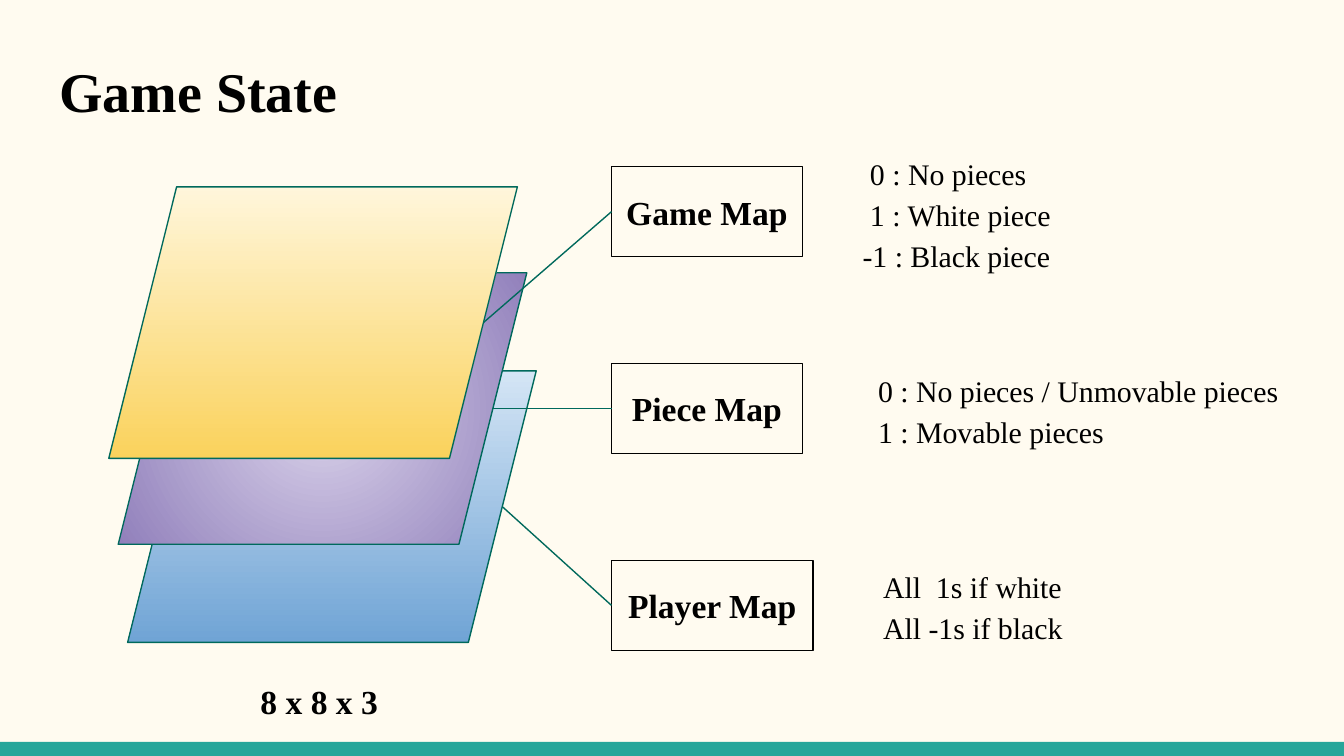
from lxml import etree
from pptx import Presentation
from pptx.dml.color import RGBColor
from pptx.enum.shapes import MSO_CONNECTOR, MSO_SHAPE
from pptx.enum.text import MSO_ANCHOR, PP_ALIGN
from pptx.oxml import parse_xml
from pptx.oxml.ns import nsdecls, qn
from pptx.util import Inches, Pt

RECTANGLE, PARALLELOGRAM = MSO_SHAPE.RECTANGLE, MSO_SHAPE.PARALLELOGRAM
STRAIGHT = MSO_CONNECTOR.STRAIGHT
TOP, MIDDLE = MSO_ANCHOR.TOP, MSO_ANCHOR.MIDDLE
LEFT, CENTER = PP_ALIGN.LEFT, PP_ALIGN.CENTER
color = RGBColor.from_string
GREEN, BLACK = color("00695C"), color("000000")

deck = Presentation()
deck.slide_width, deck.slide_height = Inches(10), Inches(5.625)
page = deck.slides.add_slide(deck.slide_layouts[5])
page.background.fill.solid()
page.background.fill.fore_color.rgb = color("FFFBF0")


def write(box, lines, size, bold=False, align=LEFT, anchor=TOP, spacing=1.0):
    frame = box.text_frame
    frame.word_wrap = True
    frame.vertical_anchor = anchor
    frame.margin_left = frame.margin_right = Inches(0.1)
    frame.margin_top = frame.margin_bottom = Inches(0.1)
    frame.text = "\n".join(lines)
    for para in frame.paragraphs:
        para.alignment, para.line_spacing = align, spacing
        for span in para.runs:
            span.font.name, span.font.size = "Times New Roman", Pt(size)
            span.font.bold, span.font.color.rgb = bold, BLACK


def add_box(preset, left, top, width, height, line_color):
    box = page.shapes.add_shape(
        preset, Inches(left), Inches(top), Inches(width), Inches(height))
    box.shadow.inherit = False
    box.line.color.rgb, box.line.width = line_color, Pt(0.75)
    return box


footer = add_box(RECTANGLE, 0, 5.52, 10, 0.11, GREEN)
footer.fill.solid()
footer.fill.fore_color.rgb = color("26A69A")
footer.line.fill.background()

title = page.shapes.title
title.left, title.top = Inches(0.34), Inches(0.32)
title.width, title.height = Inches(9.32), Inches(0.67)
write(title, ["Game State"], 30, bold=True)

# Stacked layers, back to front
layer_width, layer_height, slant = 3.04, 2.02, 0.25
layers = [
    (0.95, 2.76, "D4E5F5", "70A4D5", False),
    (0.88, 2.03, "DBD4EB", "9180BB", True),
    (0.81, 1.39, "FFF6DB", "FAD25C", False),
]
side_middles = []
for left, top, first, last, radial in layers:
    layer = add_box(PARALLELOGRAM, left, top, layer_width, layer_height, GREEN)
    layer.adjustments[0] = slant
    layer.fill.gradient()
    layer.fill.gradient_angle = 270
    for stop, shade, place in zip(layer.fill.gradient_stops, (first, last), (0, 1)):
        stop.color.rgb, stop.position = color(shade), place
    if radial:
        linear = layer._element.spPr.find(".//" + qn("a:lin"))
        linear.getparent().replace(linear, parse_xml(
            f'<a:path {nsdecls("a")} path="circle">'
            '<a:fillToRect l="50000" t="50000" r="50000" b="50000"/></a:path>'))
    side_middles.append((left + layer_width - slant * layer_height / 2,
                         top + layer_height / 2))

# One row per map: label, label width, notes, notes position
first_row, row_step = 1.24, 1.465
maps = [
    ("Game Map", 1.42, [" 0 : No pieces", " 1 : White piece", "-1 : Black piece"],
     6.32, 1.02),
    ("Piece Map", 1.42, [" 0 : No pieces / Unmovable pieces", " 1 : Movable pieces"],
     6.38, 2.63),
    ("Player Map", 1.5, [" All  1s if white", " All -1s if black"], 6.43, 4.09),
]
for row, (label, width, notes, notes_left, notes_top) in enumerate(maps):
    label_box = add_box(RECTANGLE, 4.55, first_row + row * row_step, width, 0.67, BLACK)
    label_box.fill.background()
    write(label_box, [label], 18, bold=True, align=CENTER, anchor=MIDDLE)
    # Keep the label on one line
    label_box.text_frame.word_wrap = False

    x, y = side_middles[-1 - row]
    link = page.shapes.add_connector(
        STRAIGHT, Inches(x), Inches(y), Inches(4.55), Inches(y))
    link.end_connect(label_box, 1)
    link.line.color.rgb, link.line.width = GREEN, Pt(0.75)
    etree.SubElement(link._element.spPr, qn("a:effectLst"))

    notes_box = page.shapes.add_textbox(
        Inches(notes_left), Inches(notes_top), Inches(3.34), Inches(0.83))
    write(notes_box, notes, 16, spacing=1.15)

size_box = page.shapes.add_textbox(
    Inches(1.84), Inches(4.97), Inches(7.57), Inches(0.88))
write(size_box, ["8 x 8 x 3"], 18, bold=True)

deck.save("out.pptx")
